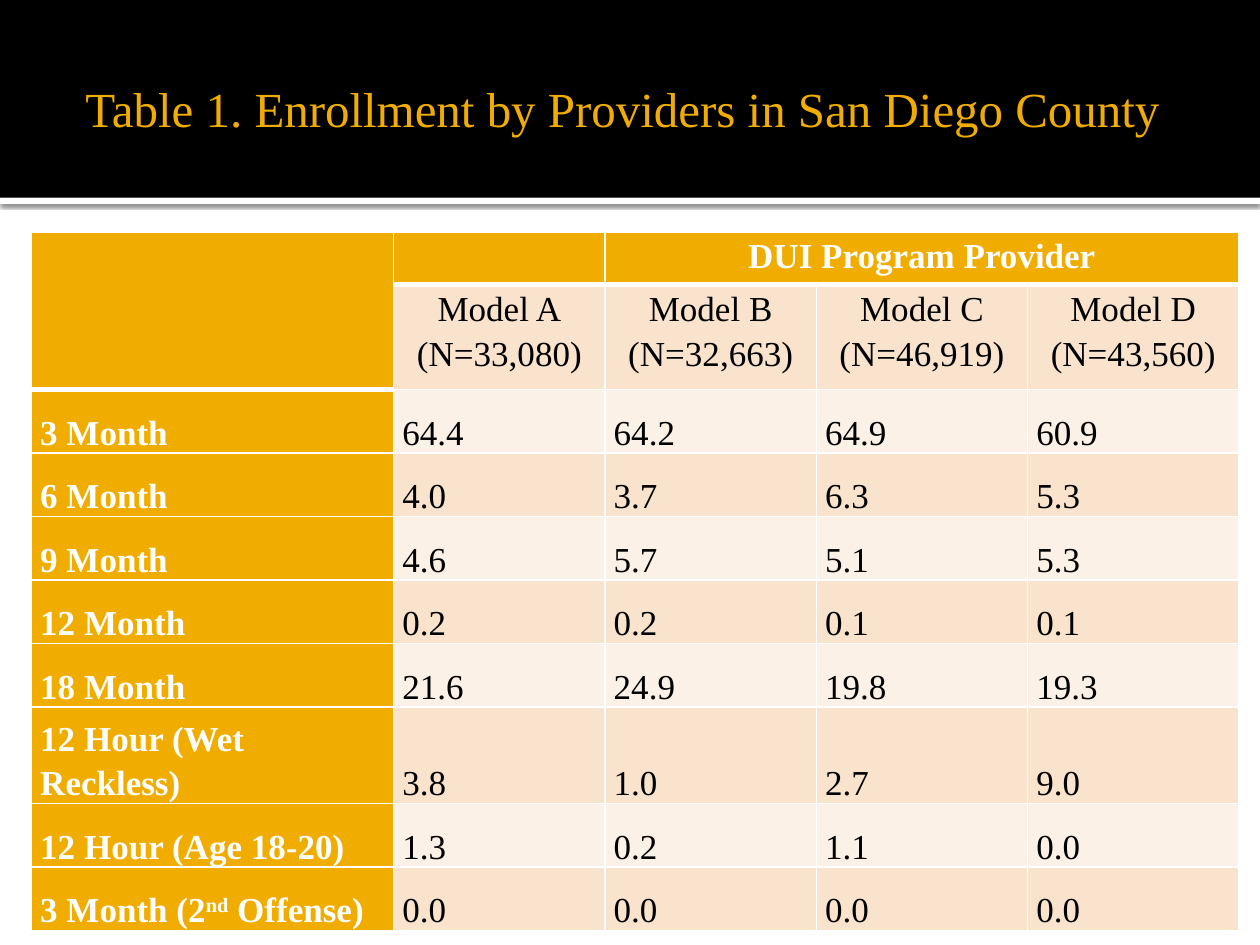
from lxml import etree
from pptx import Presentation, util as u
from pptx.dml.color import RGBColor
from pptx.enum import shapes, text
from pptx.oxml import ns

Pt = u.Pt
FONT = "Times New Roman"
HUES = {"black": "000000", "white": "FFFFFF", "gold": "F0AD00",
        "peach": "F9E3CC", "cream": "FCF1E7"}
MODELS = [("Model A", "(N=33,080)"), ("Model B", "(N=32,663)"),
          ("Model C", "(N=46,919)"), ("Model D", "(N=43,560)")]
# Each label is a list of (words, raised) runs.
ROWS = [
    ([("3 Month", False)], ["64.4", "64.2", "64.9", "60.9"]),
    ([("6 Month", False)], ["4.0", "3.7", "6.3", "5.3"]),
    ([("9 Month", False)], ["4.6", "5.7", "5.1", "5.3"]),
    ([("12 Month", False)], ["0.2", "0.2", "0.1", "0.1"]),
    ([("18 Month", False)], ["21.6", "24.9", "19.8", "19.3"]),
    ([("12 Hour (Wet Reckless)", False)], ["3.8", "1.0", "2.7", "9.0"]),
    ([("12 Hour (Age 18-20)", False)], ["1.3", "0.2", "1.1", "0.0"]),
    ([("3 Month (2", False), ("nd", True), (" Offense)", False)],
     ["0.0", "0.0", "0.0", "0.0"]),
]


def hue(name):
    return RGBColor.from_string(HUES[name])


def sub(node, tag, **atts):
    return etree.SubElement(node, ns.qn(tag), **atts)


def add_run(para, words, size, color, bold=False, raised=False):
    run = para.add_run()
    run.text = words
    font = run.font
    font.name, font.size, font.bold = FONT, Pt(size), bold
    font.color.rgb = hue(color)
    if raised:
        run._r.get_or_add_rPr().set("baseline", "30000")


def add_bar(slide, x, y, w, h, color):
    bar = slide.shapes.add_shape(shapes.MSO_SHAPE.RECTANGLE,
                                 Pt(x), Pt(y), Pt(w), Pt(h))
    bar.shadow.inherit = False
    bar.fill.solid()
    bar.fill.fore_color.rgb = hue(color)
    bar.line.fill.background()
    return bar


def add_shade(bar):
    """Cast a soft shadow straight down."""
    effects = bar._element.spPr.find(ns.qn("a:effectLst"))
    shade = sub(effects, "a:outerShdw", blurRad=str(Pt(2.5)),
                dist=str(Pt(0.8)), dir="5400000", algn="t", rotWithShape="0")
    tint = sub(shade, "a:srgbClr", val=HUES["black"])
    sub(tint, "a:alpha", val="60000")


def add_head(slide, x, y, w, h):
    """Black title band with a thin shaded strip under it."""
    add_shade(add_bar(slide, x, y + h, w, 3.6, "white"))
    add_bar(slide, x, y, w, h, "black")
    box = slide.shapes.add_textbox(Pt(x + 24), Pt(y + 12), Pt(660), Pt(h - 14))
    frame = box.text_frame
    frame.word_wrap = True
    frame.vertical_anchor = text.MSO_ANCHOR.MIDDLE
    frame.margin_left = Pt(7.2)
    frame.margin_right = frame.margin_top = frame.margin_bottom = Pt(3.6)
    para = frame.paragraphs[0]
    para.alignment = text.PP_ALIGN.CENTER
    add_run(para, "Table 1. Enrollment by Providers in San Diego County",
            28, "gold")


def set_cell(cell, color, top=1, base=1):
    """Fill, margins and white borders, with top and base widths in points."""
    cell.margin_left = cell.margin_right = Pt(5)
    cell.margin_top = cell.margin_bottom = 0
    cell.fill.solid()
    cell.fill.fore_color.rgb = hue(color)
    props = cell._tc.get_or_add_tcPr()
    sides = [("a:lnL", 1), ("a:lnR", 1), ("a:lnT", top), ("a:lnB", base)]
    for i, (tag, width) in enumerate(sides):
        line = sub(props, tag, w=str(Pt(width)))
        sub(sub(line, "a:solidFill"), "a:srgbClr", val=HUES["white"])
        props.insert(i, line)


def add_lines(cell, lines, color, bold=False):
    """Centred heading lines."""
    frame = cell.text_frame
    for i, words in enumerate(lines):
        para = frame.add_paragraph() if i else frame.paragraphs[0]
        para.alignment = text.PP_ALIGN.CENTER
        para.line_spacing = 1.15
        add_run(para, words, 20, color, bold)


def add_entry(cell, runs, color, bold=False, stop=None):
    """One line at the foot of a cell, with an optional decimal tab stop."""
    cell.vertical_anchor = text.MSO_ANCHOR.BOTTOM
    para = cell.text_frame.paragraphs[0]
    para.line_spacing = 1.15
    if stop:
        tabs = sub(para._p.get_or_add_pPr(), "a:tabLst")
        sub(tabs, "a:tab", pos=str(Pt(stop)), algn="dec")
    for words, raised in runs:
        add_run(para, words, 20, color, bold, raised)


def add_grid(slide, x, y, w, h):
    count = len(MODELS)
    grid = slide.shapes.add_table(len(ROWS) + 2, count + 1,
                                  Pt(x), Pt(y), Pt(w), Pt(h)).table
    grid.first_row = grid.horz_banding = False
    first = 0.3 * w
    for i, col in enumerate(grid.columns):
        col.width = Pt((w - first) / count if i else first)
    for i, row in enumerate(grid.rows):
        row.height = Pt([30, 60][i] if i < 2 else 36.3)

    for i in range(count + 1):
        set_cell(grid.cell(0, i), "gold", base=3)
        set_cell(grid.cell(1, i), "peach" if i else "gold",
                 top=3, base=1 if i else 3)
    grid.cell(0, 0).merge(grid.cell(1, 0))
    grid.cell(0, 2).merge(grid.cell(0, count))
    add_lines(grid.cell(0, 2), ["DUI Program Provider"], "white", True)
    for i, lines in enumerate(MODELS, 1):
        add_lines(grid.cell(1, i), lines, "black")

    for r, (label, values) in enumerate(ROWS, 2):
        side = grid.cell(r, 0)
        set_cell(side, "gold", top=3 if r == 2 else 1)
        add_entry(side, label, "white", True)
        for i, value in enumerate(values, 1):
            cell = grid.cell(r, i)
            set_cell(cell, "peach" if r % 2 else "cream")
            add_entry(cell, [(value, False)], "black", stop=30)


def main():
    deck = Presentation()
    deck.slide_width, deck.slide_height = Pt(720), Pt(540)
    slide = deck.slides.add_slide(deck.slide_layouts[6])
    add_head(slide, 0, 0, 720, 113)
    add_grid(slide, 18, 132.5, 690, 380)
    deck.save("out.pptx")


if __name__ == "__main__":
    main()
